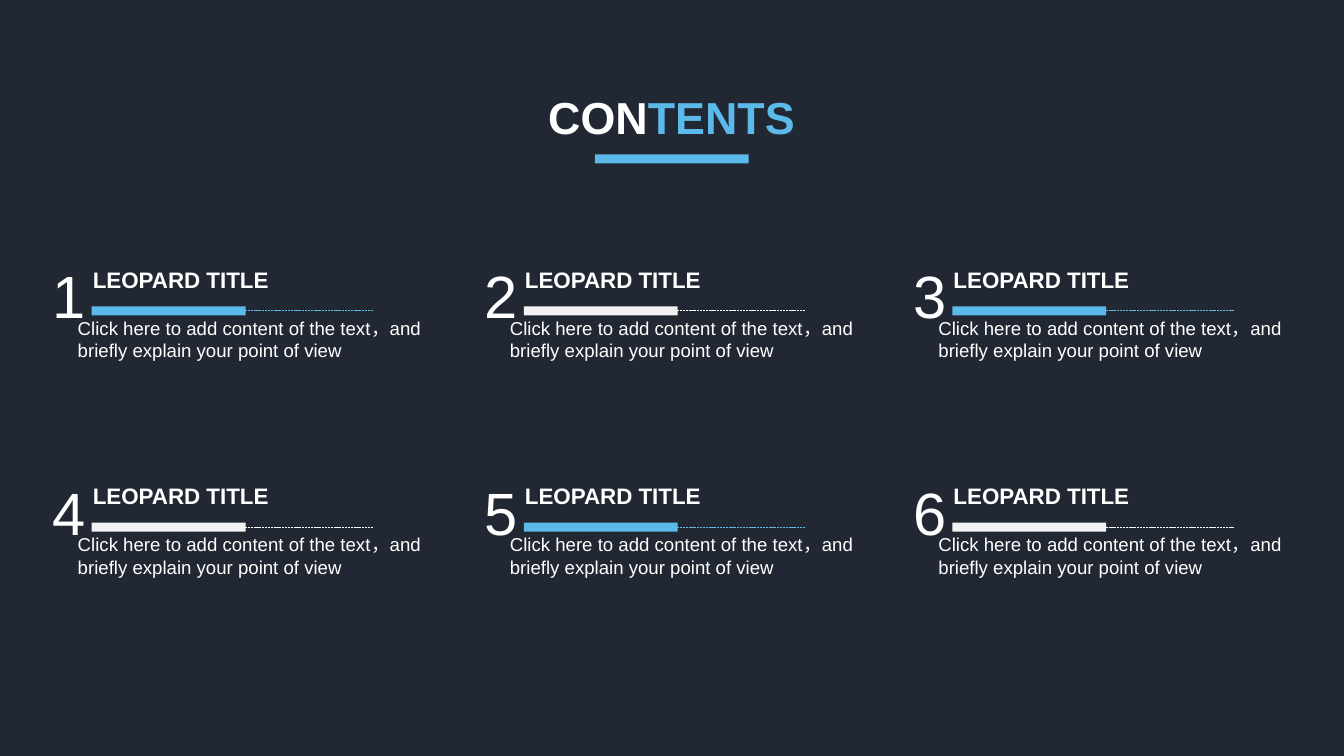
import pptx
import pptx.util
import pptx.dml.color
import pptx.enum.dml
import pptx.enum.shapes
import pptx.enum.text
import pptx.oxml.ns
import lxml.etree

Cm = pptx.util.Cm
ALIGN = pptx.enum.text.PP_ALIGN

HEADING = [("CON", "white"), ("TENTS", "blue")]
EXPLANATION = "Click here to add content of the text，and briefly explain your point of view"
ENTRIES = [(str(number), "LEOPARD TITLE", EXPLANATION) for number in range(1, 7)]

THEME = {
    "font": "Arial",
    "colors": {"navy": "212833", "white": "FFFFFF", "blue": "5CBAEB", "pale": "F2F2F2"},
    "sizes": {"heading": 32, "number": 42.6, "title": 16, "explanation": 13.3},
}

# Centimetres; entry parts are measured from the entry's own corner
SLIDE_SIZE = (33.87, 19.05)
HEADING_BOX = (11.07, 2.13, 11.71, 1.63)
HEADING_BAR = (14.99, 3.89)
BAR_SIZE = (3.88, 0.23)
COLUMN_LEFTS = (1.07, 11.96, 22.76)
FIRST_ROW_TOP, ROW_PITCH = 5.87, 5.45
BAR_OFFSET = (1.24, 1.85)
DASH_START, DASH_END, DASH_DROP = 3.45, 8.33, 1.96
ENTRY_PARTS = {
    "number": {"box": (0, 0, 1.22, 2.34), "paragraph": {"line_spacing": 1.3}},
    "title": {"box": (1.02, 0.71, 5, 0.94), "bold": True,
              "paragraph": {"alignment": ALIGN.JUSTIFY}},
    "explanation": {"box": (0.64, 1.99, 9.42, 2.82), "paragraph": {"line_spacing": 1.0}},
}


def color(name):
    return pptx.dml.color.RGBColor.from_string(THEME["colors"][name])


def apply(target, formats):
    for attribute, value in formats.items():
        setattr(target, attribute, value)


def add_run(paragraph, text, role, color_name, bold):
    run = paragraph.add_run()
    run.text = text
    apply(run.font, {"name": THEME["font"], "bold": bold,
                     "size": pptx.util.Pt(THEME["sizes"][role])})
    run.font.color.rgb = color(color_name)


def add_bar(slide, left, top, color_name):
    bar = slide.shapes.add_shape(pptx.enum.shapes.MSO_SHAPE.RECTANGLE,
                                 *map(Cm, (left, top, *BAR_SIZE)))
    bar.shadow.inherit = False
    bar.fill.solid()
    bar.fill.fore_color.rgb = color(color_name)
    bar.line.fill.background()


def add_dashes(slide, left, top, color_name):
    y = Cm(top + DASH_DROP)
    dashes = slide.shapes.add_connector(pptx.enum.shapes.MSO_CONNECTOR.STRAIGHT,
                                        Cm(left + DASH_START), y, Cm(left + DASH_END), y)
    dashes.line.color.rgb = color(color_name)
    apply(dashes.line, {"width": pptx.util.Pt(0.5),
                        "dash_style": pptx.enum.dml.MSO_LINE.SQUARE_DOT})
    lxml.etree.SubElement(dashes._element.spPr, pptx.oxml.ns.qn("a:effectLst"))


def add_entry(slide, left, top, texts, bar_color, dash_color):
    add_dashes(slide, left, top, dash_color)
    add_bar(slide, left + BAR_OFFSET[0], top + BAR_OFFSET[1], bar_color)
    for (role, part), text in zip(ENTRY_PARTS.items(), texts):
        x, y, width, height = part["box"]
        box = slide.shapes.add_textbox(*map(Cm, (left + x, top + y, width, height)))
        apply(box.text_frame, {"word_wrap": True,
                               "auto_size": pptx.enum.text.MSO_AUTO_SIZE.SHAPE_TO_FIT_TEXT})
        paragraph = box.text_frame.paragraphs[0]
        apply(paragraph, part["paragraph"])
        add_run(paragraph, text, role, "white", part.get("bold", False))


def add_heading(slide):
    heading = slide.shapes.title
    apply(heading, dict(zip(("left", "top", "width", "height"), map(Cm, HEADING_BOX))))
    apply(heading.text_frame, {"word_wrap": True,
                               "vertical_anchor": pptx.enum.text.MSO_ANCHOR.TOP,
                               "auto_size": pptx.enum.text.MSO_AUTO_SIZE.SHAPE_TO_FIT_TEXT})
    paragraph = heading.text_frame.paragraphs[0]
    paragraph.alignment = ALIGN.CENTER
    for text, color_name in HEADING:
        add_run(paragraph, text, "heading", color_name, True)
    add_bar(slide, *HEADING_BAR, "blue")


def main():
    deck = pptx.Presentation()
    apply(deck, dict(zip(("slide_width", "slide_height"), map(Cm, SLIDE_SIZE))))
    slide = deck.slides.add_slide(deck.slide_layouts.get_by_name("Title Only"))
    slide.background.fill.solid()
    slide.background.fill.fore_color.rgb = color("navy")
    add_heading(slide)
    for index, texts in enumerate(ENTRIES):
        row, column = divmod(index, len(COLUMN_LEFTS))
        bar_color, dash_color = ("pale", "white") if index % 2 else ("blue", "blue")
        add_entry(slide, COLUMN_LEFTS[column], FIRST_ROW_TOP + row * ROW_PITCH,
                  texts, bar_color, dash_color)
    deck.save("out.pptx")


if __name__ == "__main__":
    main()
